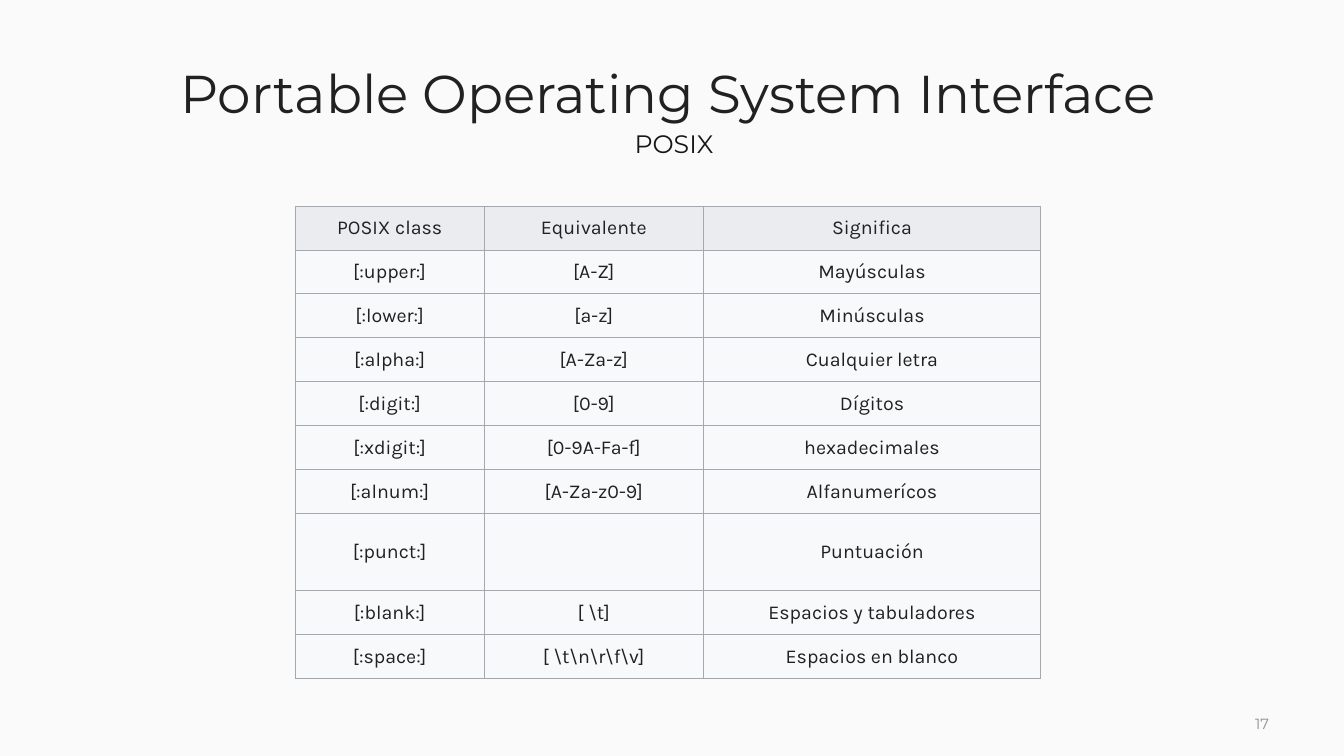
from pptx import Presentation, util as u
from pptx.dml.color import RGBColor
from pptx.enum import text
from pptx.oxml import parse_xml
from pptx.oxml.ns import nsdecls

PAPER = RGBColor(0xFA, 0xFA, 0xFA)
INK = RGBColor(0x21, 0x21, 0x21)
DARK = RGBColor(0x17, 0x16, 0x16)
MUTED = RGBColor(0x8D, 0x8D, 0x8D)
HEAD = RGBColor(0xEA, 0xEC, 0xF0)
BODY = RGBColor(0xF8, 0xF9, 0xFA)
EDGE = RGBColor(0xA2, 0xA9, 0xB1)

MID = text.MSO_ANCHOR.MIDDLE
TOP = text.MSO_ANCHOR.TOP
LEFT = text.PP_ALIGN.LEFT
CENTER = text.PP_ALIGN.CENTER

ROWS = [
    ("POSIX class", "Equivalente", "Significa"),
    ("[:upper:]", "[A-Z]", "Mayúsculas"),
    ("[:lower:]", "[a-z]", "Minúsculas"),
    ("[:alpha:]", "[A-Za-z]", "Cualquier letra"),
    ("[:digit:]", "[0-9]", "Dígitos"),
    ("[:xdigit:]", "[0-9A-Fa-f]", "hexadecimales"),
    ("[:alnum:]", "[A-Za-z0-9]", "Alfanumerícos"),
    ("[:punct:]", "", "Puntuación"),
    ("[:blank:]", r"[ \t]", "Espacios y tabuladores"),
    ("[:space:]", r"[ \t\n\r\f\v]", "Espacios en blanco"),
]


def apply(item, form):
    for key, value in form.items():
        setattr(item, key, value)


class Deck:
    """Draws styled elements on a slide, with lengths in percent of its size."""

    def __init__(self, wide, high):
        self.prs = Presentation()
        apply(self.prs, {"slide_width": u.Inches(wide), "slide_height": u.Inches(high)})
        self.slide = self.prs.slides.add_slide(self.prs.slide_layouts[6])
        self.fill(self.slide.background, PAPER)

    def x(self, share):
        return round(self.prs.slide_width * share / 100)

    def y(self, share):
        return round(self.prs.slide_height * share / 100)

    def fill(self, item, color):
        item.fill.solid()
        item.fill.fore_color.rgb = color

    def phrase(self, frame, words, face, size, color, **form):
        para = frame.paragraphs[0]
        apply(para, form)
        run = para.add_run()
        run.text = words
        apply(run.font, {"name": face, "size": u.Pt(size)})
        run.font.color.rgb = color

    def label(self, box, words, size, color, anchor=MID, **form):
        left, top, wide, high = box
        shape = self.slide.shapes.add_textbox(
            self.x(left), self.y(top), self.x(wide), self.y(high))
        apply(shape.text_frame, {"word_wrap": True, "vertical_anchor": anchor})
        self.phrase(shape.text_frame, words, "Montserrat", size, color, **form)

    def border(self, cell):
        props = cell._tc.get_or_add_tcPr()
        for side in "LRTB":
            props.append(parse_xml(
                f'<a:ln{side} {nsdecls("a")} w="{u.Pt(0.75)}"><a:solidFill>'
                f'<a:srgbClr val="{EDGE}"/></a:solidFill></a:ln{side}>'))

    def table(self, left, top, cols, highs, rows):
        grid = self.slide.shapes.add_table(
            len(rows), len(cols), self.x(left), self.y(top),
            self.x(sum(cols)), self.y(sum(highs))).table
        apply(grid, {"first_row": False, "horz_banding": False})
        for col, wide in zip(grid.columns, cols):
            col.width = self.x(wide)
        for row, high in zip(grid.rows, highs):
            row.height = self.y(high)
        form = {"vertical_anchor": MID,
                "margin_left": u.Inches(0.08), "margin_right": u.Inches(0.08),
                "margin_top": u.Inches(0.04), "margin_bottom": u.Inches(0.04)}
        for r, row in enumerate(rows):
            for c, words in enumerate(row):
                cell = grid.cell(r, c)
                apply(cell, form)
                self.border(cell)
                self.fill(cell, BODY if r else HEAD)
                if words:
                    self.phrase(cell.text_frame, words, "Karla", 14, INK, alignment=CENTER)


def main():
    deck = Deck(13.33, 7.5)
    deck.label((92.65, 91.47, 2.93, 8.53), "17", 10.5, MUTED, alignment=LEFT)
    deck.label((4.8, 5.33, 89.8, 14.8), "Portable Operating System Interface",
               38, INK, alignment=CENTER, line_spacing=0.9)
    highs = [5.82 if row[1] else 10.2 for row in ROWS]
    deck.table(21.98, 27.25, (14.03, 16.35, 25.06), highs, ROWS)
    deck.label((5.7, 16.27, 88.9, 5.33), "POSIX", 18, DARK, TOP, alignment=CENTER)
    deck.prs.save("out.pptx")


if __name__ == "__main__":
    main()
